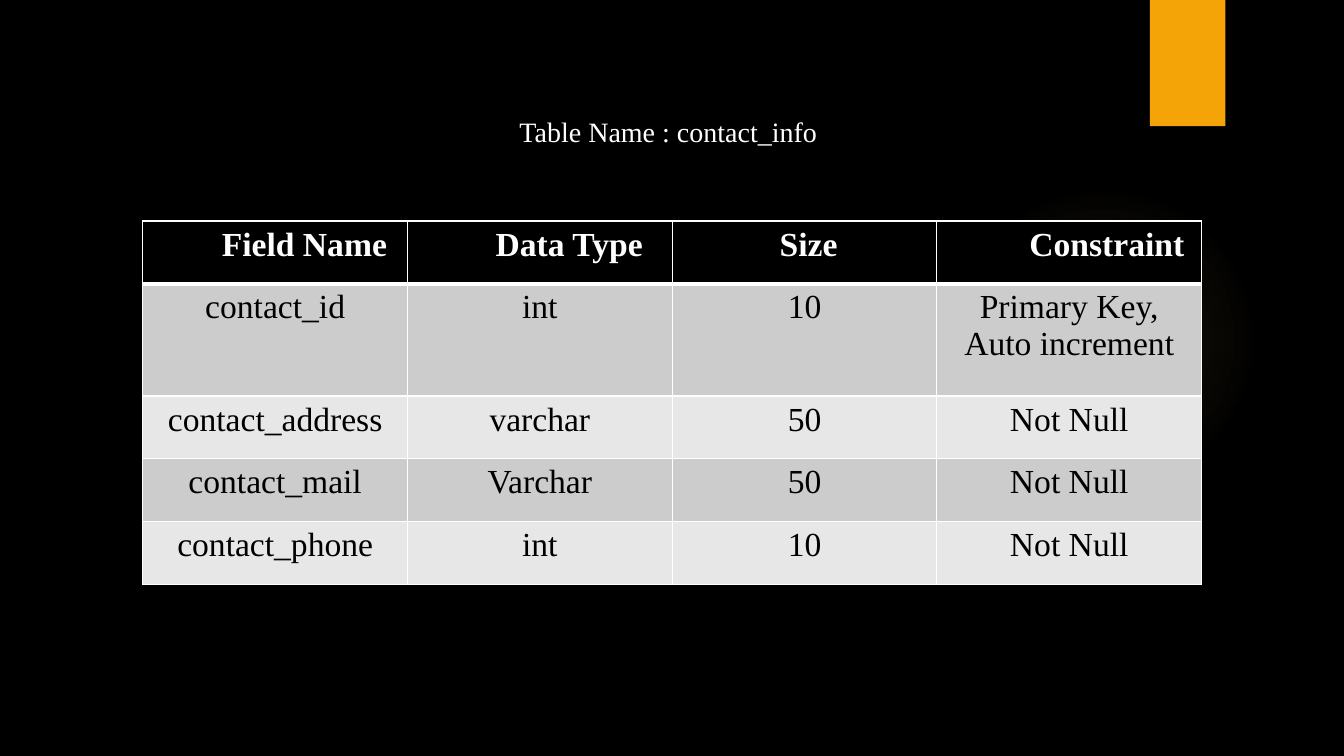
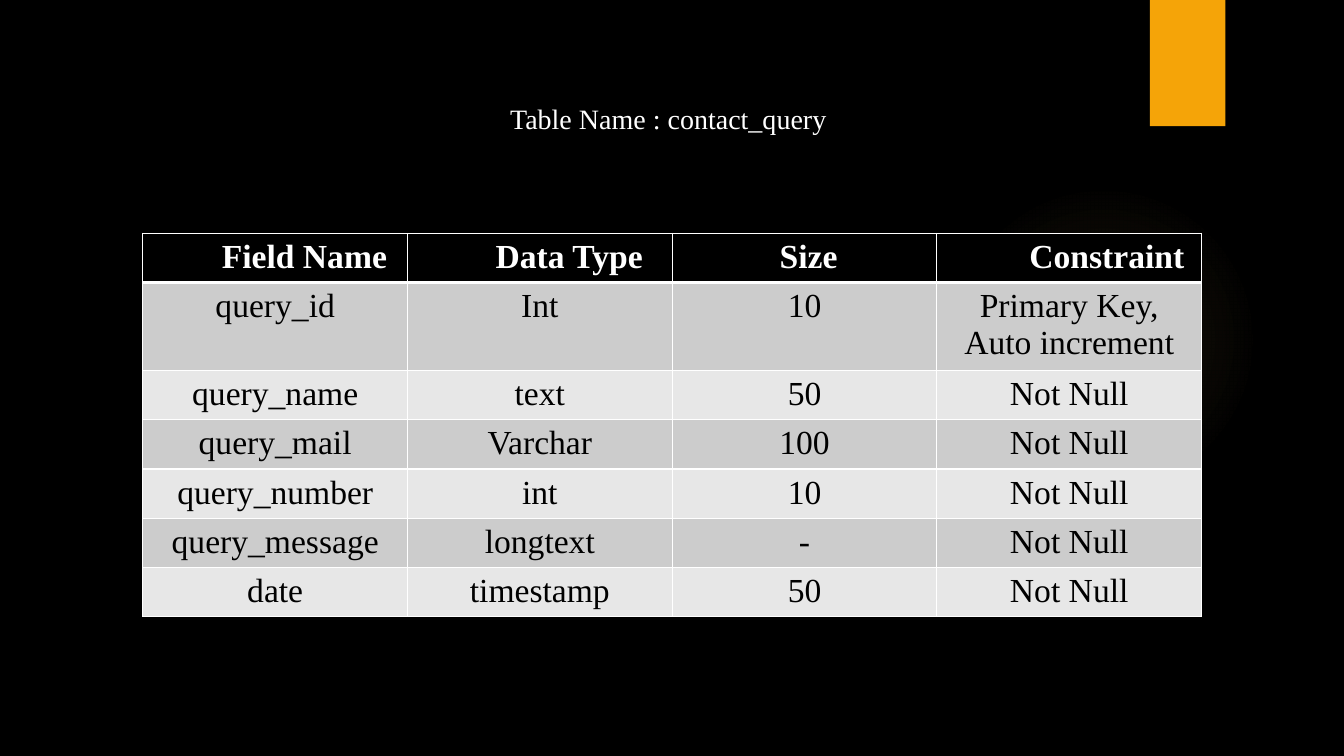
from lxml.etree import SubElement
from pptx import Presentation
from pptx.dml.color import RGBColor
from pptx.enum.shapes import MSO_SHAPE
from pptx.enum.text import MSO_ANCHOR, MSO_AUTO_SIZE, PP_ALIGN
from pptx.oxml import parse_xml
from pptx.oxml.ns import nsdecls, qn
from pptx.util import Cm, Pt

BLACK = RGBColor(0x00, 0x00, 0x00)
WHITE = RGBColor(0xFF, 0xFF, 0xFF)
ORANGE = RGBColor(0xF5, 0xA4, 0x08)
GLOW = RGBColor(0xFA, 0xC9, 0x6A)
BANDS = (RGBColor(0xCC, 0xCC, 0xCC), RGBColor(0xE7, 0xE7, 0xE7))
FONT = "Times New Roman"
GLOW_STOPS = ((0, 7), (36, 6), (69, 0))
TITLE_ONLY = 5
MARGIN = Cm(0.25)
HEADINGS = (
    ("Field Name", Cm(1.48)),
    ("Data Type", Cm(1.48)),
    ("Size", Cm(0.21)),
    ("Constraint", Cm(1.9)),
)
KEY = "Primary Key,\nAuto increment"
CONTACT_INFO = (
    ("contact_id", "int", "10", KEY),
    ("contact_address", "varchar", "50", "Not Null"),
    ("contact_mail", "Varchar", "50", "Not Null"),
    ("contact_phone", "int", "10", "Not Null"),
)
CONTACT_QUERY = (
    ("query_id", "Int", "10", KEY),
    ("query_name", "text", "50", "Not Null"),
    ("query_mail", "Varchar", "100", "Not Null"),
    ("query_number", "int", "10", "Not Null"),
    ("query_message", "longtext", "-", "Not Null"),
    ("date", "timestamp", "50", "Not Null"),
)


def fill_with_glow(ellipse):
    """Give the ellipse a radial gradient that fades to nothing."""
    stops = "".join(
        f'<a:gs pos="{position * 1000}"><a:srgbClr val="{GLOW}">'
        f'<a:alpha val="{opacity * 1000}"/></a:srgbClr></a:gs>'
        for position, opacity in GLOW_STOPS
    )
    gradient = parse_xml(
        f'<a:gradFill {nsdecls("a")}><a:gsLst>{stops}</a:gsLst>'
        '<a:path path="circle"><a:fillToRect l="50000" t="50000" '
        'r="50000" b="50000"/></a:path></a:gradFill>'
    )
    ellipse.fill.background()
    properties = ellipse.element.spPr
    properties.replace(properties.find(qn("a:noFill")), gradient)


def decorate_master(master, slide):
    """Put the black background, glow and orange tab on the master."""
    master.background.fill.solid()
    master.background.fill.fore_color.rgb = BLACK
    glow = slide.shapes.add_shape(
        MSO_SHAPE.OVAL, Cm(23.9), Cm(4.65), Cm(7.82), Cm(7.82))
    fill_with_glow(glow)
    tab = slide.shapes.add_shape(
        MSO_SHAPE.RECTANGLE, Cm(28.98), 0, Cm(1.9), Cm(3.18))
    tab.fill.solid()
    tab.fill.fore_color.rgb = ORANGE
    for decoration in (glow, tab):
        decoration.line.fill.background()
        decoration.shadow.inherit = False
        master.element.cSld.spTree.append(decoration.element)


def format_text(frame, size, color, bold=False):
    """Centre the text and format all its runs."""
    for paragraph in frame.paragraphs:
        paragraph.alignment = PP_ALIGN.CENTER
        for run in paragraph.runs:
            run.font.name = FONT
            run.font.size = Pt(size)
            run.font.bold = bold
            run.font.color.rgb = color


def add_heading(title, name, left, top, width, height):
    """Place the table name in the title placeholder."""
    title.left, title.top, title.width, title.height = left, top, width, height
    frame = title.text_frame
    frame.text = f"Table Name : {name}"
    frame.auto_size = MSO_AUTO_SIZE.NONE
    frame.vertical_anchor = MSO_ANCHOR.TOP
    format_text(frame, 20, WHITE)


def draw_borders(cell, top, bottom):
    """Draw white cell borders, 1 pt wide at the sides."""
    properties = cell._tc.get_or_add_tcPr()
    for side, width in (("L", 1), ("R", 1), ("T", top), ("B", bottom)):
        border = SubElement(properties, qn(f"a:ln{side}"), w=str(Pt(width)))
        color = SubElement(border, qn("a:solidFill"))
        SubElement(color, qn("a:srgbClr"), val=str(WHITE))


def fill_cell(cell, text, row):
    """Write one cell in the style of its row."""
    is_header = row == 0
    draw_borders(cell, 3 if row == 1 else 1, 3 if is_header else 1)
    cell.fill.solid()
    cell.fill.fore_color.rgb = BLACK if is_header else BANDS[(row - 1) % 2]
    cell.text_frame.text = text
    format_text(cell.text_frame, 24, WHITE if is_header else BLACK, is_header)


def add_field_table(slide, fields, left, top, width, row_height, key_height):
    """Add the table of fields, with a taller row for the primary key."""
    heights = [row_height, key_height] + [row_height] * (len(fields) - 1)
    table = slide.shapes.add_table(
        len(heights), len(HEADINGS), left, top, width, sum(heights)).table
    table.horz_banding = False
    for row, height in zip(table.rows, heights):
        row.height = height
    for column, (heading, indent) in enumerate(HEADINGS):
        header = table.cell(0, column)
        fill_cell(header, heading, 0)
        header.margin_left = MARGIN + indent
        for row, field in enumerate(fields, start=1):
            fill_cell(table.cell(row, column), field[column], row)


def build_table_slide(slide, name, fields, heading_top, table_top,
                      row_height, key_height):
    """Build a slide describing one database table."""
    add_heading(slide.shapes.title, name,
                Cm(2.24), heading_top, Cm(29.21), Cm(1.2))
    add_field_table(slide, fields, Cm(3.6), table_top, Cm(26.68),
                    row_height, key_height)


def main():
    """Build and save the presentation."""
    deck = Presentation()
    deck.slide_width, deck.slide_height = Cm(33.87), Cm(19.05)
    layout = deck.slide_layouts[TITLE_ONLY]
    info = deck.slides.add_slide(layout)
    decorate_master(deck.slide_master, info)
    build_table_slide(info, "contact_info", CONTACT_INFO,
                      Cm(2.77), Cm(5.57), Cm(1.58), Cm(2.83))
    query = deck.slides.add_slide(layout)
    build_table_slide(query, "contact_query", CONTACT_QUERY,
                      Cm(2.44), Cm(5.88), Cm(1.24), Cm(2.22))
    deck.save("out.pptx")


if __name__ == "__main__":
    main()
